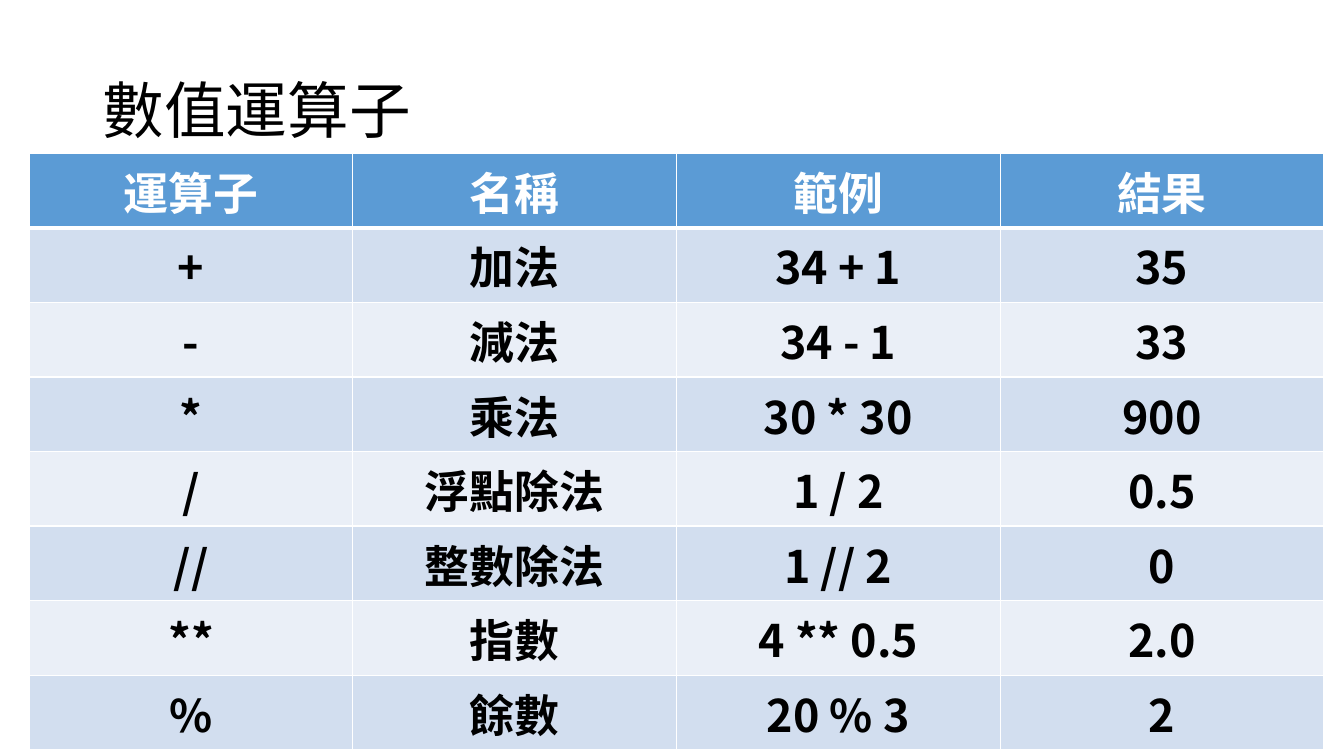
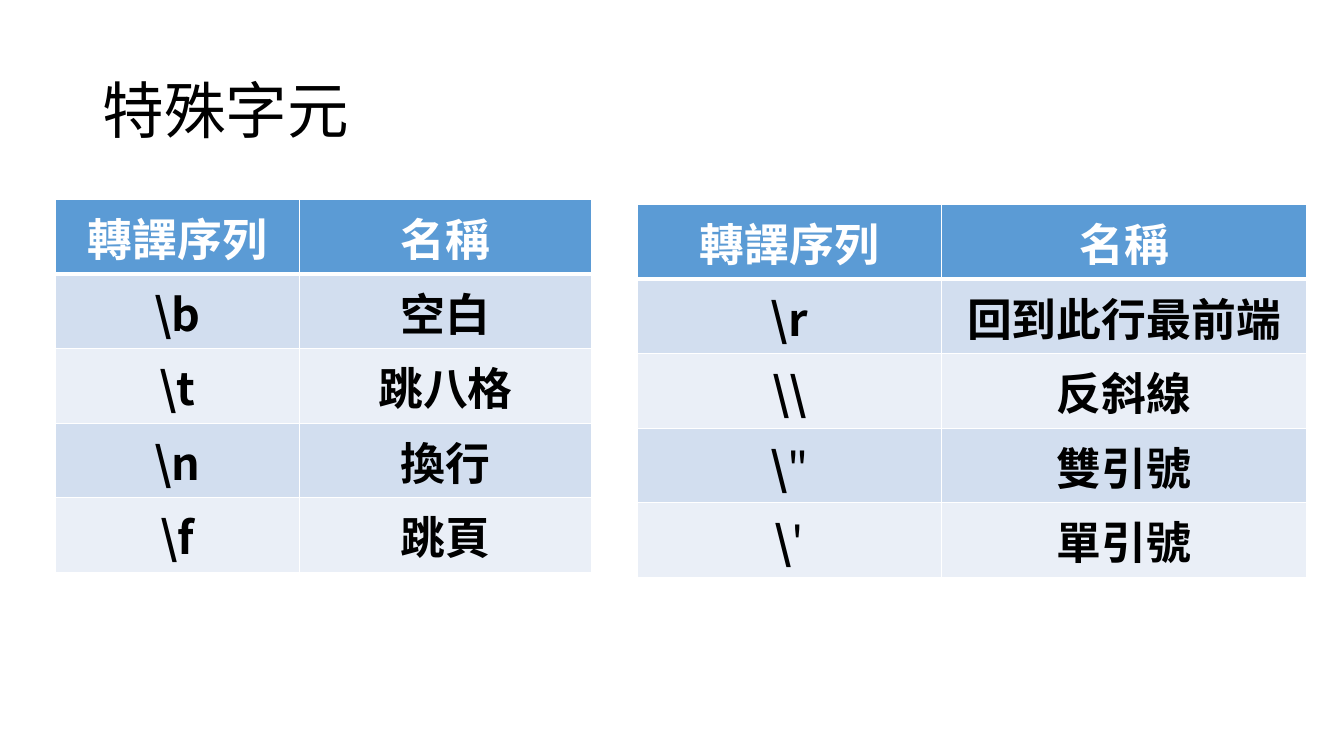
from lxml.etree import SubElement
from pptx import Presentation
from pptx.dml.color import RGBColor
from pptx.enum.text import MSO_ANCHOR as Anchor, PP_ALIGN as Align
from pptx.oxml.ns import qn
from pptx.util import Inches, Pt

FONT = "Noto Sans CJK TC"
BLACK, WHITE = "000000", "FFFFFF"
HEADER_FILL = "5B9BD5"
BAND_FILLS = ("D2DEEF", "EAEFF7")
ROW_HEIGHT = 0.74

# A cell is a string (bold) or a tuple of (text, bold) runs.
SLIDES = [
    {"title": "數值運算子",
     "tables": [
         {"left": 0.29, "top": 1.52, "cols": [3.21] * 4,
          "rows": [
              ("運算子", "名稱", "範例", "結果"),
              ("+", "加法", "34 + 1", "35"),
              ("-", "減法", "34 - 1", "33"),
              ("*", "乘法", "30 * 30", "900"),
              ("/", "浮點除法", "1 / 2", "0.5"),
              ("//", "整數除法", "1 // 2", "0"),
              ("**", "指數", "4 ** 0.5", "2.0"),
              ("%", "餘數", "20 % 3", "2"),
          ]},
     ]},
    {"title": "特殊字元",
     "tables": [
         {"left": 0.55, "top": 1.98, "cols": [2.42, 2.9],
          "rows": [
              ("轉譯序列", "名稱"),
              (r"\b", "空白"),
              (r"\t", "跳八格"),
              (r"\n", "換行"),
              (r"\f", "跳頁"),
          ]},
         {"left": 6.32, "top": 2.03, "cols": [3.02, 3.62],
          "rows": [
              ("轉譯序列", "名稱"),
              (r"\r", "回到此行最前端"),
              (r"\\", "反斜線"),
              ((("\\", True), ('"', False)), "雙引號"),
              ((("\\", True), ("'", False)), "單引號"),
          ]},
     ]},
]


def rgb(color):
    return RGBColor.from_string(color)


def add_run(p, text, size, color, bold=False):
    r = p.add_run()
    r.text = text
    r.font.size = Pt(size)
    r.font.bold = bold
    r.font.color.rgb = rgb(color)
    r.font.name = FONT
    SubElement(r.font._element, qn("a:ea"), typeface=FONT)


def add_title(s, text):
    box = s.shapes.add_textbox(Inches(0.92), Inches(0.4), Inches(11.5), Inches(1.45))
    tf = box.text_frame
    tf.word_wrap = True
    tf.vertical_anchor = Anchor.MIDDLE
    p = tf.paragraphs[0]
    p.line_spacing = 0.9
    add_run(p, text, 44, BLACK)


def set_borders(cell, top, bottom):
    """Draw white cell edges; top and bottom are widths in points."""
    tc_pr = cell._tc.get_or_add_tcPr()
    for edge, width in (("L", 1), ("R", 1), ("T", top), ("B", bottom)):
        ln = SubElement(tc_pr, qn(f"a:ln{edge}"), w=str(Pt(width)))
        fill = SubElement(ln, qn("a:solidFill"))
        SubElement(fill, qn("a:srgbClr"), val=WHITE)


def fill_cell(cell, content, row):
    is_header = row == 0
    set_borders(cell, top=3 if row == 1 else 1, bottom=3 if is_header else 1)
    cell.fill.solid()
    cell.fill.fore_color.rgb = rgb(HEADER_FILL if is_header else BAND_FILLS[(row - 1) % 2])
    cell.vertical_anchor = Anchor.MIDDLE
    p = cell.text_frame.paragraphs[0]
    p.alignment = Align.CENTER
    runs = [(content, True)] if isinstance(content, str) else content
    for text, bold in runs:
        add_run(p, text, 32, WHITE if is_header else BLACK, bold)


def add_table(s, left, top, cols, rows):
    frame = s.shapes.add_table(len(rows), len(cols), Inches(left), Inches(top),
                               Inches(sum(cols)), Inches(ROW_HEIGHT * len(rows)))
    table = frame.table
    for column, width in zip(table.columns, cols):
        column.width = Inches(width)
    for i, row in enumerate(rows):
        table.rows[i].height = Inches(ROW_HEIGHT)
        for j, content in enumerate(row):
            fill_cell(table.cell(i, j), content, i)


def main():
    prs = Presentation()
    prs.slide_width, prs.slide_height = Inches(13.33), Inches(7.5)
    for content in SLIDES:
        s = prs.slides.add_slide(prs.slide_layouts[6])
        add_title(s, content["title"])
        for table in content["tables"]:
            add_table(s, **table)
    prs.save("out.pptx")


if __name__ == "__main__":
    main()
